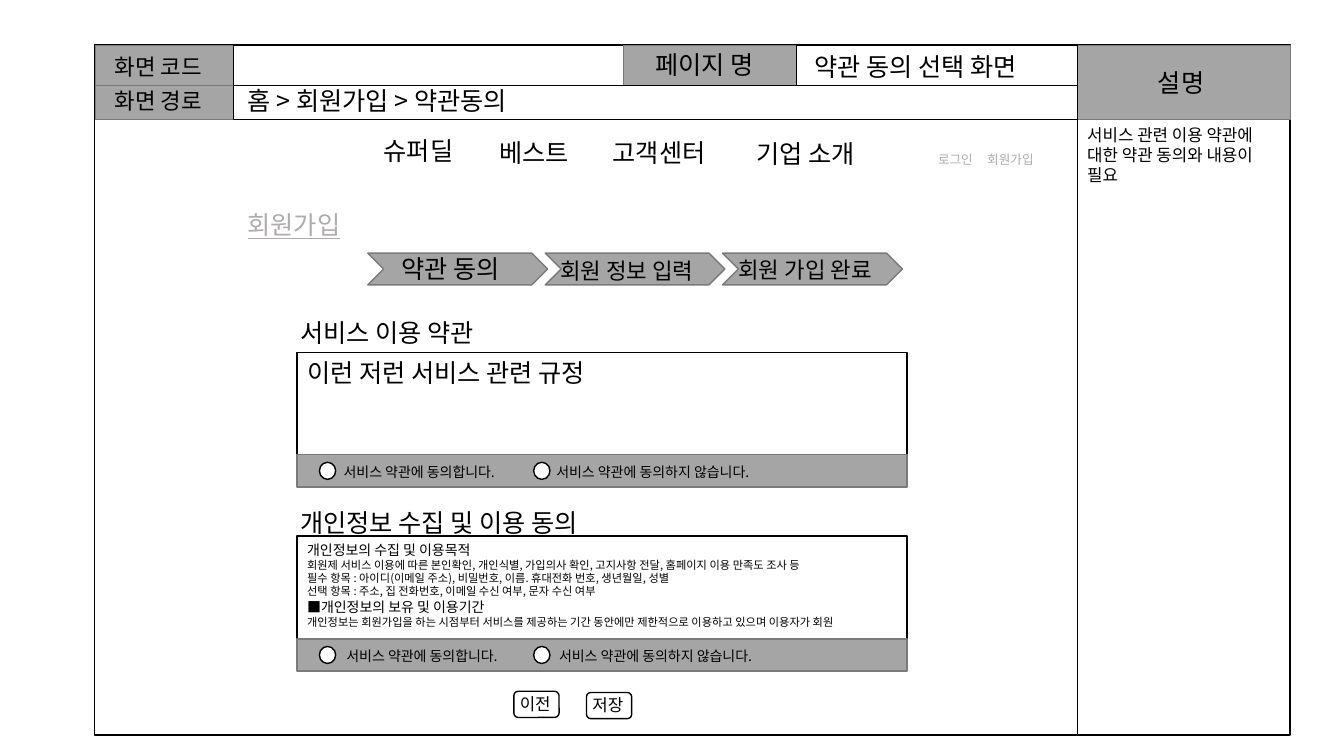
from lxml import etree
from pptx import Presentation
from pptx.dml.color import RGBColor
from pptx.enum.shapes import MSO_CONNECTOR, MSO_SHAPE
from pptx.enum.text import MSO_ANCHOR, MSO_AUTO_SIZE, PP_ALIGN
from pptx.oxml.ns import qn
from pptx.util import Cm, Pt

RECT = MSO_SHAPE.RECTANGLE
ROUND = MSO_SHAPE.ROUNDED_RECTANGLE
OVAL = MSO_SHAPE.OVAL
STEP = MSO_SHAPE.CHEVRON
STRAIGHT = MSO_CONNECTOR.STRAIGHT
TOP = MSO_ANCHOR.TOP
LEFT = PP_ALIGN.LEFT
GROW = MSO_AUTO_SIZE.SHAPE_TO_FIT_TEXT

FONT = "Noto Sans CJK KR"
BLACK, WHITE, GRAY, EDGE, PALE = "000000", "FFFFFF", "A5A5A5", "7A7A7A", "AFABAB"


def color(code):
    return RGBColor.from_string(code)


def write(para, text, size=18, ink=BLACK, under=None):
    para.alignment = LEFT
    run = para.add_run()
    run.text = text
    font = run.font
    font.size, font.underline, font.name = Pt(size), under, FONT
    font.color.rgb = color(ink)
    # Korean glyphs take the East Asian font
    latin = run._r.get_or_add_rPr().find(qn("a:latin"))
    east = etree.Element(qn("a:ea"), typeface=FONT)
    latin.addnext(east)


class Page:
    def __init__(self, slide):
        self.items = slide.shapes

    def shape(self, kind, x, y, w, h, fill=WHITE, edge=BLACK):
        item = self.items.add_shape(kind, Cm(x), Cm(y), Cm(w), Cm(h))
        item.shadow.inherit = False
        item.fill.solid()
        item.fill.fore_color.rgb = color(fill)
        item.line.color.rgb = color(edge)
        item.line.width = Pt(1)
        return item

    def gray(self, kind, x, y, w, h):
        return self.shape(kind, x, y, w, h, GRAY, EDGE)

    def text(self, text, x, y, w, wrap=False, size=18, **style):
        high = 0.25 + size * 0.0423
        frame = self.items.add_textbox(Cm(x), Cm(y), Cm(w), Cm(high)).text_frame
        frame.word_wrap = wrap
        frame.auto_size = GROW
        write(frame.paragraphs[0], text, size=size, **style)

    def panel(self, lines, x, y, w, h):
        frame = self.shape(RECT, x, y, w, h).text_frame
        frame.word_wrap = True
        frame.vertical_anchor = TOP
        for num, (text, size) in enumerate(lines):
            para = frame.add_paragraph() if num else frame.paragraphs[0]
            write(para, text, size=size)

    def line(self, x1, y1, x2, y2):
        item = self.items.add_connector(STRAIGHT, Cm(x1), Cm(y1), Cm(x2), Cm(y2))
        item.line.color.rgb = color(BLACK)
        item.line.width = Pt(0.5)
        etree.SubElement(item._element.spPr, qn("a:effectLst"))

    def terms(self, lines, y, h, bar, shift):
        """A panel of terms over a bar with two choices."""
        self.panel(lines, 7.49, y, 15.37, h)
        self.gray(RECT, 7.49, bar, 15.37, 0.81)
        choices = [("서비스 약관에 동의합니다.", 8.05, 8.41, 4.75),
                   ("서비스 약관에 동의하지 않습니다.", 13.45, 13.77, 5.94)]
        for text, dot, x, w in choices:
            self.shape(OVAL, dot, bar + 0.19, 0.41, 0.43)
            self.text(text, x + shift, bar + 0.09, w, size=10)


def main():
    deck = Presentation()
    deck.slide_width, deck.slide_height = Cm(33.87), Cm(19.05)
    page = Page(deck.slides.add_slide(deck.slide_layouts[6]))

    # Frame and header cells
    page.shape(RECT, 2.39, 1.12, 30.12, 17.4)
    cols = [2.41, 5.89, 15.72, 20.07, 27.15, 32.53]
    top, mid, low = 1.14, 2.16, 3.02
    for num, (x, end) in enumerate(zip(cols[:4], cols[1:])):
        draw = page.shape if num % 2 else page.gray
        draw(RECT, x, top, end - x, mid - top)
    page.gray(RECT, cols[0], mid, cols[1] - cols[0], low - mid)
    page.shape(RECT, cols[1], mid, cols[4] - cols[1], low - mid)
    page.gray(RECT, cols[4], top, cols[5] - cols[4], low - top)
    page.line(cols[4], top, cols[4], 18.52)

    # Header words
    page.text("화면 코드", 2.64, 1.22, 3.25, wrap=True, size=16)
    page.text("화면 경로", 2.64, 2.08, 3, size=16)
    page.text("페이지 명", 16.26, 1.12, 3.3)
    page.text("약관 동의 선택 화면", 20.27, 1.17, 6.32)
    page.text("홈 > 회원가입 > 약관동의", 5.99, 2.03, 8.1)
    page.text("설명", 28.93, 1.57, 1.8)
    page.text("서비스 관련 이용 약관에 대한 약관 동의와 내용이 필요",
              cols[4], low, 5.38, wrap=True, size=12)

    # Menu
    page.text("슈퍼딜", 9.42, 3.28, 2.92, wrap=True)
    page.text("베스트", 12.34, 3.33, 2.44)
    page.text("고객센터", 15.19, 3.33, 3.07)
    page.text("기업 소개", 18.82, 3.35, 3.3)
    page.text("로그인", 23.39, 3.71, 1.6, size=9, ink=PALE)
    page.text("회원가입", 24.63, 3.71, 1.9, size=9, ink=PALE)

    # Sign-up steps
    page.text("회원가입", 5.99, 5.16, 3.07, ink=PALE, under=True)
    steps = [("약관 동의", 9.86, 6.27, 3.3, 18),
             ("회원 정보 입력", 13.87, 6.35, 4.34, 16),
             ("회원 가입 완료", 18.36, 6.32, 4.34, 16)]
    for num, (text, x, y, w, size) in enumerate(steps):
        page.gray(STEP, 9.27 + num * 4.47, 6.38, 4.53, 0.8)
        page.text(text, x, y, w, size=size)

    # Terms of service
    page.text("서비스 이용 약관", 7.32, 7.87, 5.46)
    page.terms([("이런 저런 서비스 관련 규정", 18)], 8.89, 2.57, 11.46, 0)

    # Personal data consent
    page.text("개인정보 수집 및 이용 동의", 7.32, 12.67, 8.76, wrap=True)
    page.terms([
        ("개인정보의 수집 및 이용목적", 10),
        ("회원제 서비스 이용에 따른 본인확인, 개인식별, 가입의사 확인, "
         "고지사항 전달, 홈페이지 이용 만족도 조사 등", 8),
        ("필수 항목 : 아이디(이메일 주소), 비밀번호, 이름. "
         "휴대전화 번호, 생년월일, 성별", 8),
        ("선택 항목 : 주소, 집 전화번호, 이메일 수신 여부, 문자 수신 여부", 8),
        ("■개인정보의 보유 및 이용기간", 10),
        ("개인정보는 회원가입을 하는 시점부터 서비스를 제공하는 기간 동안에만 "
         "제한적으로 이용하고 있으며 이용자가 회원", 8),
    ], 13.51, 2.82, 16.1, 0.07)

    # Buttons
    for text, x, y in [("이전", 12.95, 17.42), ("저장", 14.78, 17.45)]:
        page.shape(ROUND, x, y, 1.14, 0.66)
        page.text(text, x - 0.1, y - 0.06, 1.37, size=12)

    deck.save("out.pptx")


if __name__ == "__main__":
    main()
